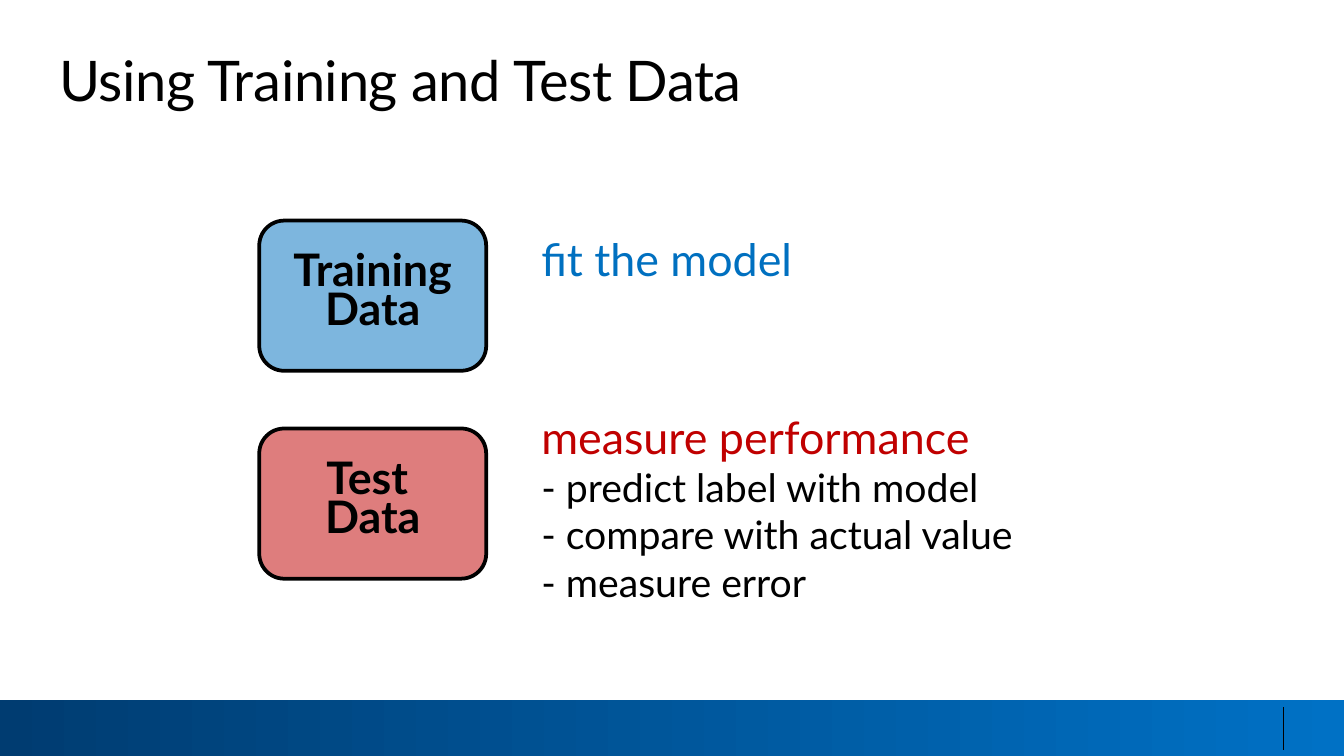
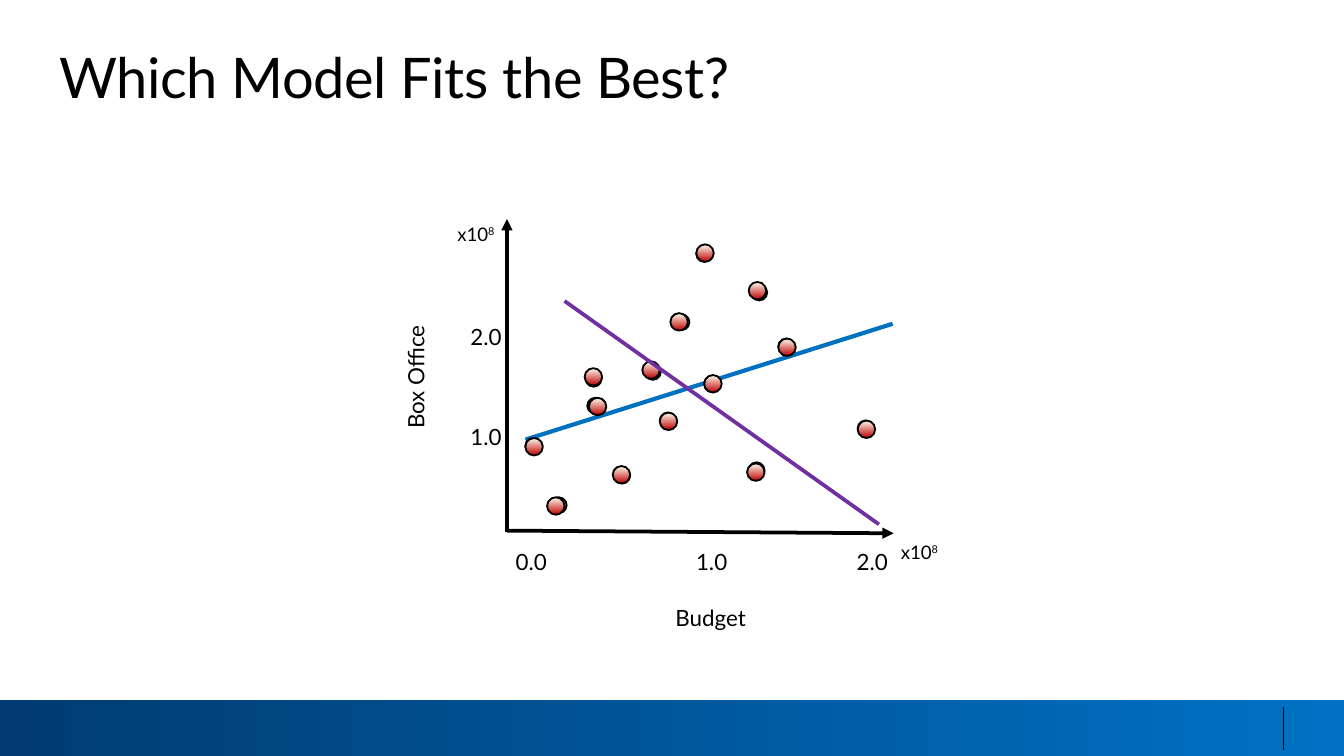
"""Build two slides on training and test data and on choosing a fitted model."""
from typing import NamedTuple, Optional

from lxml.etree import SubElement
from pptx import Presentation
from pptx.dml.color import RGBColor
from pptx.enum.shapes import MSO_CONNECTOR, MSO_SHAPE
from pptx.enum.text import MSO_ANCHOR, MSO_AUTO_SIZE, PP_ALIGN
from pptx.oxml.ns import qn
from pptx.util import Cm, Pt

FONT = "Lato"
BLACK, BLUE, RED, PURPLE = "000000", "0070C0", "C00000", "7030A0"
BAND_LIGHT, BAND_DARK, DOT_LIGHT = "0071C5", "003C71", "FDFEF1"
NO_INSETS = (0, 0, 0, 0)
INSETS = (0.25, 0.13, 0.25, 0.13)


class Box(NamedTuple):
    x: float
    y: float
    w: float
    h: float


class DataCard(NamedTuple):
    lines: tuple[str, ...]
    y: float
    color: str


class Line(NamedTuple):
    x1: float
    y1: float
    x2: float
    y2: float
    color: str = BLACK
    width: float = 2
    arrow: bool = False


class Label(NamedTuple):
    text: str
    box: Box
    size: float = 12
    power: str = ""
    rotation: float = 0


CARDS = (
    DataCard(("Test ", "Data"), 8.1, RED),
    DataCard(("Training", "Data"), 4.17, BLUE),
)
STEPS = (
    "measure performance",
    "- predict label with model",
    "- compare with actual value",
    "- measure error",
)
RISING_FIT = Line(9.93, 8.31, 16.87, 6.12, BLUE, 2.25)
FALLING_FIT = Line(10.67, 5.69, 16.61, 9.91, PURPLE)
AXES = (
    Line(9.58, 10.06, 9.58, 4.14, arrow=True),
    Line(9.58, 10.03, 16.89, 10.08, arrow=True),
)
BACK_DOTS = (
    (14.2, 5.38), (16.21, 7.95), (14.15, 8.74), (13.31, 7.11), (11.07, 7.01),
    (11.1, 7.52), (9.93, 8.28), (10.41, 9.4), (11.61, 8.84), (13.16, 4.65),
    (14.71, 6.4), (12.73, 5.94), (12.47, 7.8), (12.19, 6.88),
)
FRONT_DOTS = (
    (16.21, 7.95), (14.12, 8.76), (14.71, 6.4), (13.31, 7.09), (14.15, 5.33),
    (13.16, 4.62), (12.67, 5.92), (12.14, 6.83), (12.47, 7.8), (11.58, 8.81),
    (11.13, 7.52), (11.05, 6.96), (9.93, 8.28), (10.34, 9.4),
)
LABELS = (
    Label("0.0", Box(9.42, 9.86, 1.24, 1.02)),
    Label("1.0", Box(8.84, 6.99, 0.69, 2.01)),
    Label("2.0", Box(8.84, 5.11, 0.69, 2.01)),
    Label("x10", Box(8.51, 3.63, 0.97, 0.99), 10, "8"),
    Label("1.0", Box(12.93, 9.86, 1.04, 1.02)),
    Label("x10", Box(16.89, 9.65, 0.97, 0.99), 10, "8"),
    Label("2.0", Box(16, 9.86, 0.97, 1.02)),
    Label("Budget", Box(12.34, 10.92, 2.18, 1.02)),
    Label("Box Office", Box(6.6, 6.12, 2.01, 2.01), rotation=270),
)


def rgb(color: str) -> RGBColor:
    """Turn a hex string into a colour."""
    return RGBColor.from_string(color)


def lengths(box: Box) -> list:
    """Turn a box into slide lengths."""
    return [Cm(v) for v in box]


def place(sp, box: Box) -> None:
    """Move and size a placeholder."""
    sp.left, sp.top, sp.width, sp.height = lengths(box)


def set_frame(tf, insets=INSETS, anchor=MSO_ANCHOR.MIDDLE) -> None:
    """Set wrapping, insets and anchor of a text frame."""
    tf.word_wrap = True
    tf.auto_size = MSO_AUTO_SIZE.NONE
    tf.vertical_anchor = anchor
    tf.margin_left, tf.margin_top, tf.margin_right, tf.margin_bottom = map(Cm, insets)


def style(p, size: float, color: str = BLACK, bold: bool = False,
          align=PP_ALIGN.LEFT, spacing: Optional[float] = None) -> None:
    """Format a whole paragraph."""
    p.font.name, p.font.size, p.font.bold = FONT, Pt(size), bold
    p.font.color.rgb = rgb(color)
    p.alignment = align
    if spacing:
        p.line_spacing = Pt(spacing)


def fill_gradient(sp, start: str, end: str, angle: float) -> None:
    """Fill a shape with a two-colour linear gradient."""
    sp.fill.gradient()
    sp.fill.gradient_angle = angle
    for stop, color in zip(sp.fill.gradient_stops, (start, end)):
        stop.color.rgb = rgb(color)


def add_shape(slide, kind, box: Box, line_width: float = 0):
    """Add a shadowless shape with a black outline or none."""
    sp = slide.shapes.add_shape(kind, *lengths(box))
    sp.shadow.inherit = False
    if line_width:
        sp.line.color.rgb = rgb(BLACK)
        sp.line.width = Pt(line_width)
    else:
        sp.line.fill.background()
    return sp


def add_line(slide, line: Line):
    """Add a straight line or arrow."""
    cx = slide.shapes.add_connector(
        MSO_CONNECTOR.STRAIGHT, *lengths(line[:4]))
    cx.line.color.rgb = rgb(line.color)
    cx.line.width = Pt(line.width)
    sp_pr = cx.element.spPr
    if line.arrow:
        SubElement(sp_pr.find(qn("a:ln")), qn("a:tailEnd"), type="triangle")
    SubElement(sp_pr, qn("a:effectLst"))
    return cx


def add_footer(prs, slide) -> None:
    """Draw the footer band and divider and hand them to the master."""
    band = add_shape(slide, MSO_SHAPE.RECTANGLE, Box(0, 13.23, 25.4, 1.06))
    fill_gradient(band, BAND_LIGHT, BAND_DARK, 180)
    divider = add_line(slide, Line(24.26, 13.36, 24.26, 14.17, width=0.75))
    for number, sp in enumerate((band, divider), 100):
        sp.element.xpath(".//p:cNvPr")[0].set("id", str(number))
        prs.slide_master.shapes.element.append(sp.element)


def set_title(slide, text: str, y: float) -> None:
    """Fill and format the title placeholder."""
    title = slide.shapes.title
    place(title, Box(1.12, y, 23.44, 1.27))
    title.text_frame.text = text
    set_frame(title.text_frame, NO_INSETS, MSO_ANCHOR.TOP)
    p = title.text_frame.paragraphs[0]
    style(p, 30)
    p.runs[0].font.element.set("spc", "-20") if hasattr(p.runs[0].font, "element") \
        else p.runs[0]._r.get_or_add_rPr().set("spc", "-20")


def add_card(slide, card: DataCard) -> None:
    """Add a translucent rounded card."""
    sp = add_shape(slide, MSO_SHAPE.ROUNDED_RECTANGLE, Box(4.9, card.y, 4.29, 2.84), 2)
    sp.fill.solid()
    sp.fill.fore_color.rgb = rgb(card.color)
    color = sp.element.spPr.find(qn("a:solidFill")).find(qn("a:srgbClr"))
    SubElement(color, qn("a:alpha"), val="51000")
    tf = sp.text_frame
    set_frame(tf)
    tf.text = "\n".join(card.lines)
    for p in tf.paragraphs:
        style(p, 24, bold=True, align=PP_ALIGN.CENTER, spacing=21)


def add_dots(slide, points, size: float) -> None:
    """Add data points of one size."""
    for x, y in points:
        dot = add_shape(slide, MSO_SHAPE.OVAL, Box(x, y, size, size), 1)
        fill_gradient(dot, RED, DOT_LIGHT, 90)


def add_label(slide, label: Label) -> None:
    """Add a centred axis label."""
    sp = slide.shapes.add_textbox(*lengths(label.box))
    sp.rotation = label.rotation
    set_frame(sp.text_frame, NO_INSETS)
    p = sp.text_frame.paragraphs[0]
    p.add_run().text = label.text
    if label.power:
        r = p.add_run()
        r.text = label.power
        r._r.get_or_add_rPr().set("baseline", "30000")
    style(p, label.size, align=PP_ALIGN.CENTER, spacing=28.5)


def build_data_slide(slide) -> None:
    """Build the slide on training and test data."""
    set_title(slide, "Using Training and Test Data", 0.86)
    sp = slide.shapes.add_textbox(*lengths(Box(9.98, 3.99, 6.99, 1.6)))
    set_frame(sp.text_frame, (0.25, 0.38, 0.25, 0.2))
    sp.text_frame.text = "fit the model"
    style(sp.text_frame.paragraphs[0], 24, BLUE)

    body = slide.placeholders[1]
    place(body, Box(9.98, 7.62, 10.41, 4.83))
    set_frame(body.text_frame, INSETS, MSO_ANCHOR.TOP)
    body.text_frame.text = "\n".join(STEPS)
    for i, p in enumerate(body.text_frame.paragraphs):
        p.space_before = Pt(0)
        p_pr = p._p.get_or_add_pPr()
        p_pr.set("marL", "0")
        p_pr.set("indent", "0")
        SubElement(p_pr, qn("a:buNone"))
        style(p, 21 if i else 24, BLACK if i else RED)
    for card in CARDS:
        add_card(slide, card)


def build_fit_slide(slide) -> None:
    """Build the slide that compares two fitted lines."""
    set_title(slide, "Which Model Fits the Best?", 0.81)
    add_line(slide, RISING_FIT)
    add_dots(slide, BACK_DOTS, 0.3)
    for axis in AXES:
        add_line(slide, axis)
    for label in LABELS:
        add_label(slide, label)
    add_dots(slide, FRONT_DOTS, 0.33)
    add_line(slide, FALLING_FIT)


def main() -> None:
    """Build and save the presentation."""
    prs = Presentation()
    prs.slide_width, prs.slide_height = Cm(25.4), Cm(14.29)
    data_slide = prs.slides.add_slide(prs.slide_layouts[1])
    add_footer(prs, data_slide)
    build_data_slide(data_slide)
    build_fit_slide(prs.slides.add_slide(prs.slide_layouts[5]))
    prs.save("out.pptx")


if __name__ == "__main__":
    main()
